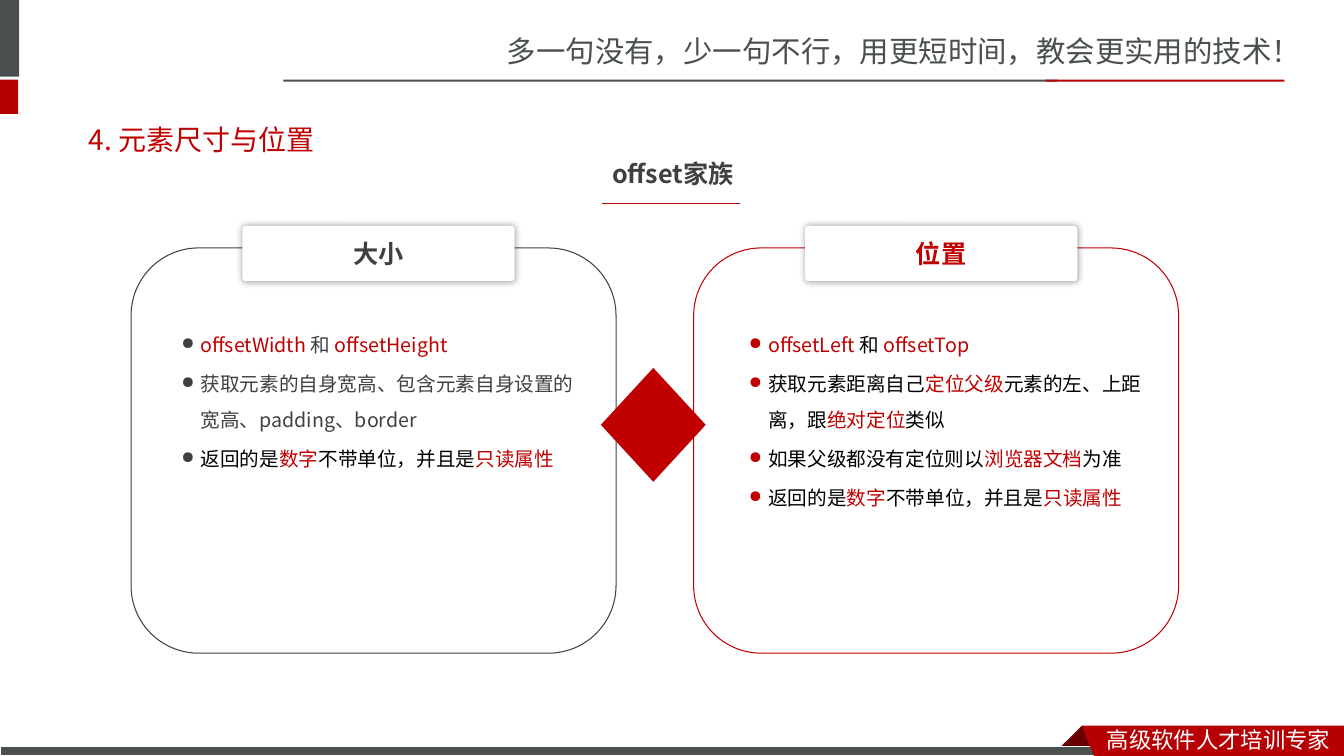
from pptx import Presentation
from pptx.dml.color import RGBColor
from pptx.enum.shapes import MSO_CONNECTOR, MSO_SHAPE
from pptx.enum.text import MSO_ANCHOR, PP_ALIGN
from pptx.oxml import parse_xml
from pptx.oxml.ns import nsdecls, qn
from pptx.util import Inches, Pt
from lxml.etree import SubElement

COLORS = {"slate": "49504F", "crimson": "B60004", "maroon": "680000", "red": "C00000",
          "gray": "404040", "black": "000000", "white": "FFFFFF"}
JP, SC = "Noto Sans CJK JP", "Noto Sans CJK SC"

SLOGAN = "多一句没有，少一句不行，用更短时间，教会更实用的技术！"
FOOTER = "高级软件人才培训专家"
TITLE = "4. 元素尺寸与位置"
SUBTITLE = "offset家族"
READ_ONLY = [("返回的是", "black"), ("数字", "red"), ("不带单位，并且是", "black"), ("只读属性", "red")]

# panel left, text left, text width, accent colour, heading, bullets
PANELS = [
    (1.3, 1.7, 4.1, "gray", "大小", [
        [("offsetWidth ", "red"), ("和 ", "gray"), ("offsetHeight", "red")],
        [("获取元素的自身宽高、包含元素自身设置的宽高、padding、border", "gray")],
        READ_ONLY,
    ]),
    (6.88, 7.33, 4.22, "red", "位置", [
        [("offsetLeft ", "red"), ("和 ", "black"), ("offsetTop", "red")],
        [("获取元素距离自己", "black"), ("定位父级", "red"), ("元素的左、上距离，跟", "black"),
         ("绝对定位", "red"), ("类似", "black")],
        [("如果父级都没有定位则以", "black"), ("浏览器文档", "red"), ("为准", "black")],
        READ_ONLY,
    ]),
]
PANEL_W, PANEL_H, PANEL_TOP = 4.81, 4.02, 2.46
TAB_W, TAB_H, TAB_TOP = 2.7, 0.55, 2.24

BARS = [(0, 0, 0.19, 0.76, "slate"), (0, 0.79, 0.18, 0.34, "crimson"),
        (2.81, 0.79, 7.68, 0.02, "slate"), (10.37, 0.79, 2.37, 0.02, "crimson")]
RIBBON_FOLD = [(10.73, 7.2), (10.95, 7.42), (10.94, 7.43), (10.52, 7.43), (10.51, 7.42)]
RIBBON = [(10.73, 7.2), (13.33, 7.2), (13.33, 7.5), (10.85, 7.5)]


def rgb(name):
    return RGBColor.from_string(COLORS[name])


def style(shape, fill=None, line=None):
    shape.shadow.inherit = False
    if fill:
        shape.fill.solid()
        shape.fill.fore_color.rgb = rgb(fill)
    else:
        shape.fill.background()
    if line:
        shape.line.color.rgb = rgb(line)
        shape.line.width = Pt(0.75)
    else:
        shape.line.fill.background()
    return shape


def add_shape(s, kind, box, fill=None, line=None):
    return style(s.shapes.add_shape(kind, *map(Inches, box)), fill, line)


def add_outline(s, points, fill):
    pts = [(Inches(x), Inches(y)) for x, y in points]
    builder = s.shapes.build_freeform(*pts[0], scale=1.0)
    builder.add_line_segments(pts[1:], close=True)
    return style(builder.convert_to_shape(), fill)


def add_run(p, text, size, color, font=JP, bold=False):
    r = p.add_run()
    r.text = text
    r.font.size, r.font.bold, r.font.name = Pt(size), bold, font
    r.font.color.rgb = rgb(color)
    SubElement(r.font._element, qn("a:ea"), typeface=font)


def add_text(s, box, wrap=True, anchor=MSO_ANCHOR.TOP):
    tf = s.shapes.add_textbox(*map(Inches, box)).text_frame
    tf.word_wrap = wrap
    tf.vertical_anchor = anchor
    return tf


def add_heading(s, box, text, color):
    p = add_text(s, box, anchor=MSO_ANCHOR.MIDDLE).paragraphs[0]
    p.alignment = PP_ALIGN.CENTER
    add_run(p, text, 18, color, bold=True)


def add_glow_shadow(shape):
    """Replace the empty effect list by a soft, centred shadow."""
    pr = shape._element.spPr
    pr.replace(pr.find(qn("a:effectLst")), parse_xml(
        f'<a:effectLst {nsdecls("a")}><a:outerShdw blurRad="{Pt(5)}" dist="0" dir="0" algn="ctr" '
        f'rotWithShape="0"><a:srgbClr val="{COLORS["black"]}"><a:alpha val="40000"/></a:srgbClr>'
        '</a:outerShdw></a:effectLst>'))


def add_bullet(p, color):
    pr = p._p.get_or_add_pPr()
    pr.set("marL", str(Inches(0.19)))
    pr.set("indent", str(-Inches(0.19)))
    clr = SubElement(pr, qn("a:buClr"))
    SubElement(clr, qn("a:srgbClr"), val=COLORS[color])
    SubElement(pr, qn("a:buSzPct"), val="85000")
    SubElement(pr, qn("a:buChar"), char="●")


def add_frame(s):
    """Draw the header and footer decoration."""
    p = add_text(s, (4.93, 0.28, 8.4, 0.47), wrap=False).paragraphs[0]
    add_run(p, SLOGAN, 21, "slate", SC)
    for *box, color in BARS:
        add_shape(s, MSO_SHAPE.RECTANGLE, box, color)
    add_outline(s, RIBBON_FOLD, "maroon")
    add_shape(s, MSO_SHAPE.RECTANGLE, (0, 7.41, 10.99, 0.09), "slate", "white")
    add_outline(s, RIBBON, "crimson")
    p = add_text(s, (10.88, 7.15, 2.45, 0.35), wrap=False).paragraphs[0]
    add_run(p, FOOTER, 16, "white", SC)


def add_panel(s, left, text_left, text_w, accent, heading, bullets):
    add_shape(s, MSO_SHAPE.ROUNDED_RECTANGLE, (left, PANEL_TOP, PANEL_W, PANEL_H), line=accent)
    tab_left = left + (PANEL_W - TAB_W) / 2 + 0.05
    tab = add_shape(s, MSO_SHAPE.ROUNDED_RECTANGLE, (tab_left, TAB_TOP, TAB_W, TAB_H), "white")
    tab.adjustments[0] = 0.07
    add_glow_shadow(tab)
    add_heading(s, (tab_left + 0.1, TAB_TOP + 0.06, TAB_W - 0.2, TAB_H - 0.12), heading, accent)
    tf = add_text(s, (text_left, 3.13, text_w, 3))
    for i, runs in enumerate(bullets):
        p = tf.add_paragraph() if i else tf.paragraphs[0]
        add_bullet(p, accent)
        p.line_spacing = Pt(25.6)
        p.space_before = Pt(2.3 if i else 0)
        for text, color in runs:
            add_run(p, text, 14, color)


def main():
    prs = Presentation()
    prs.slide_width, prs.slide_height = Inches(13.33), Inches(7.5)
    s = prs.slides.add_slide(prs.slide_layouts[5])
    add_frame(s)

    title = s.shapes.title
    title.left, title.top, title.width, title.height = map(Inches, (0.78, 1.1, 11.75, 0.57))
    title.text_frame.vertical_anchor = MSO_ANCHOR.MIDDLE
    p = title.text_frame.paragraphs[0]
    p.alignment = PP_ALIGN.LEFT
    add_run(p, TITLE, 20, "red")

    for panel in PANELS:
        add_panel(s, *panel)
    add_shape(s, MSO_SHAPE.DIAMOND, (5.96, 3.65, 1.04, 1.13), "red")

    rule = s.shapes.add_connector(MSO_CONNECTOR.STRAIGHT, *map(Inches, (5.97, 2.02, 7.34, 2.02)))
    rule.line.color.rgb = rgb("red")
    rule.line.width = Pt(0.75)
    SubElement(rule._element.spPr, qn("a:effectLst"))
    add_heading(s, (5.66, 1.51, 2.03, 0.43), SUBTITLE, "gray")
    prs.save("out.pptx")


if __name__ == "__main__":
    main()
